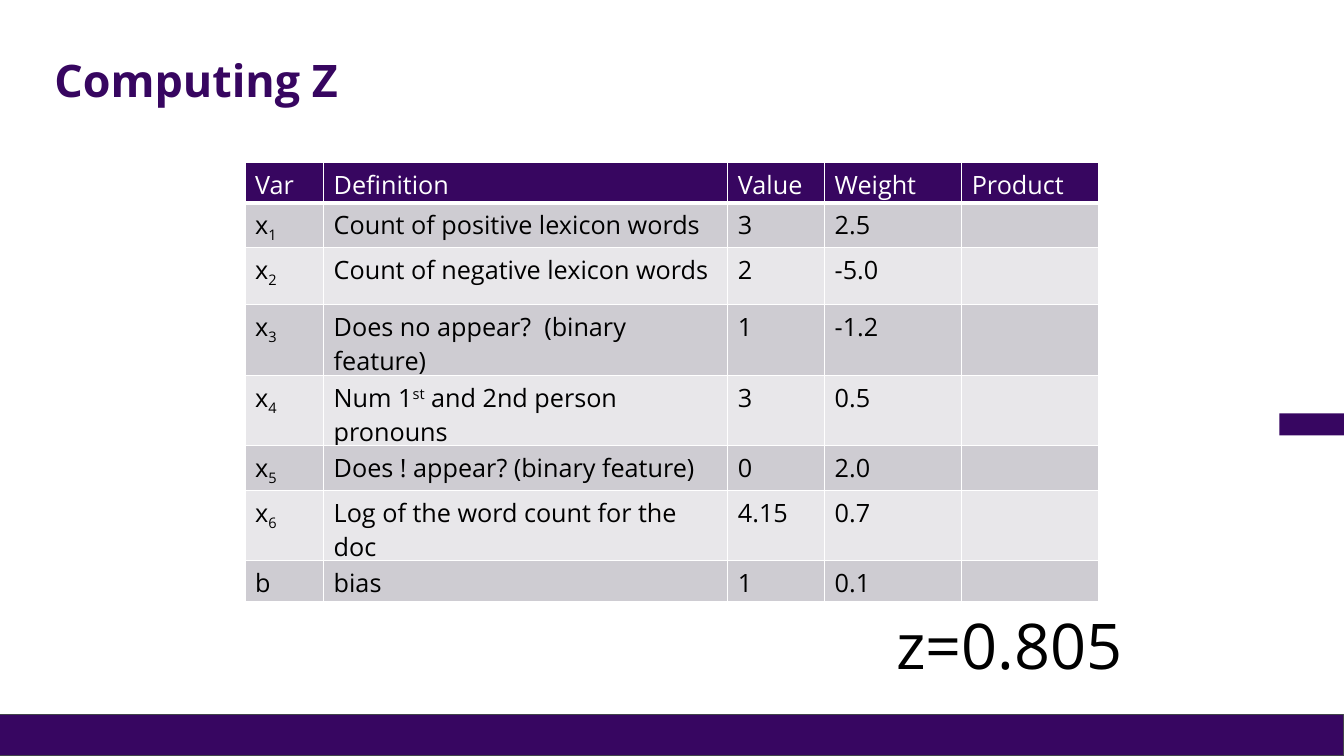
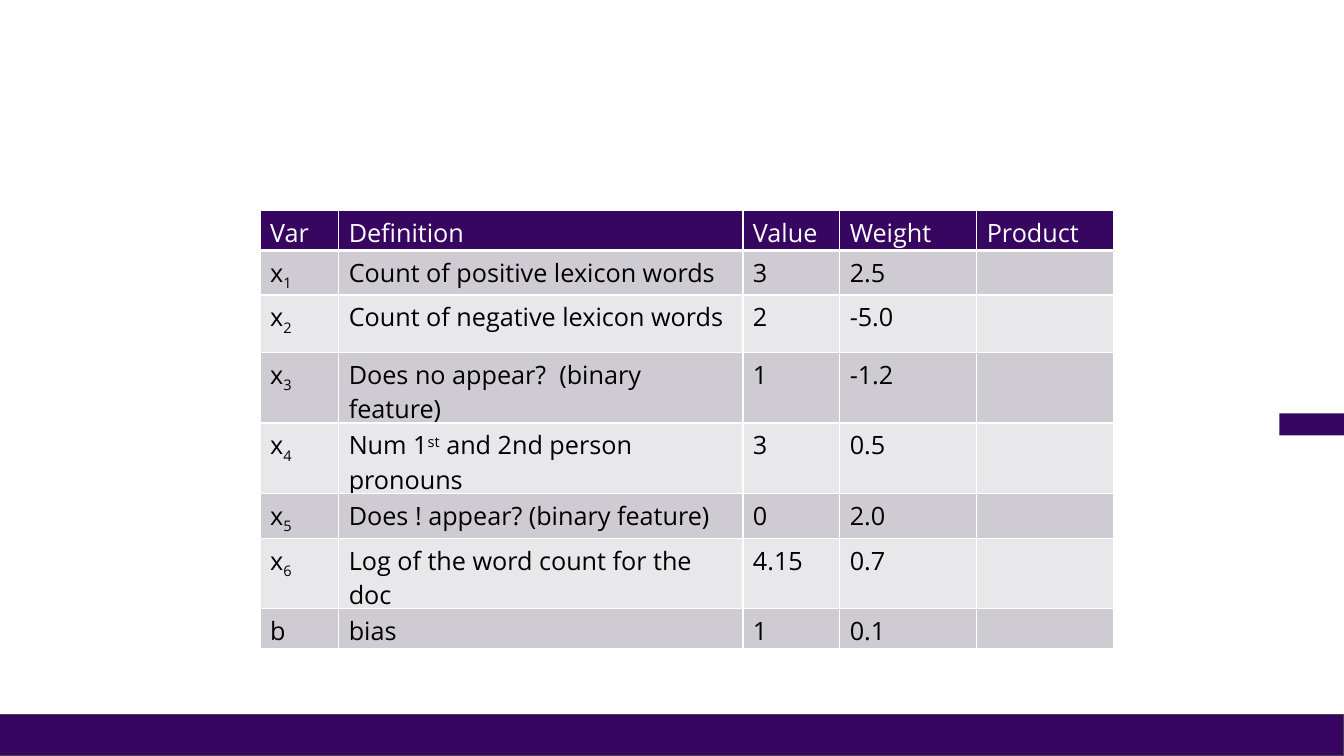
from dataclasses import dataclass
from typing import NamedTuple

import lxml.etree
import pptx
import pptx.dml.color
import pptx.enum.shapes
import pptx.enum.text
import pptx.oxml.ns
import pptx.presentation
import pptx.slide
import pptx.text.text
import pptx.util

# Grid: the slide is 100 columns wide and 100 rows high
SLIDE_WIDTH = pptx.util.Inches(13.333)
SLIDE_HEIGHT = pptx.util.Inches(7.5)

# Shared style
FONT = "Open Sans"
PURPLE = pptx.dml.color.RGBColor(0x37, 0x06, 0x60)
BAND_PURPLE = pptx.dml.color.RGBColor(0x37, 0x06, 0x61)
BAND_EDGE = pptx.dml.color.RGBColor(0x43, 0x45, 0x4B)
ROW_DARK = pptx.dml.color.RGBColor(0xCE, 0xCC, 0xD2)
ROW_LIGHT = pptx.dml.color.RGBColor(0xE8, 0xE7, 0xEA)
WHITE = pptx.dml.color.RGBColor(0xFF, 0xFF, 0xFF)
BLACK = pptx.dml.color.RGBColor(0x00, 0x00, 0x00)
SUBSCRIPT = -25
SUPERSCRIPT = 30


class Piece(NamedTuple):
    """Text with its baseline shift in percent."""
    text: str
    shift: int = 0


class Feature(NamedTuple):
    variable: tuple[Piece, ...]
    definition: tuple[Piece, ...]
    value: str
    weight: str


@dataclass(frozen=True)
class Area:
    """Place on the slide, in grid columns and rows."""
    left: float
    top: float
    width: float
    height: float

    def lengths(self) -> tuple[int, int, int, int]:
        return across(self.left), down(self.top), across(self.width), down(self.height)


def across(columns: float) -> int:
    return round(SLIDE_WIDTH * columns / 100)


def down(rows: float) -> int:
    return round(SLIDE_HEIGHT * rows / 100)


def numbered(index: int) -> tuple[Piece, ...]:
    return Piece("x"), Piece(str(index), SUBSCRIPT)


# Content
HEADINGS = ("Var", "Definition", "Value", "Weight", "Product")
FEATURES = (
    Feature(numbered(1), (Piece("Count of positive lexicon words"),), "3", "2.5"),
    Feature(numbered(2), (Piece("Count of negative lexicon words"),), "2", "-5.0"),
    Feature(numbered(3), (Piece("Does no appear?  (binary feature)"),), "1", "-1.2"),
    Feature(numbered(4), (Piece("Num 1"), Piece("st", SUPERSCRIPT),
                          Piece(" and 2nd person pronouns")), "3", "0.5"),
    Feature(numbered(5), (Piece("Does ! appear? (binary feature)"),), "0", "2.0"),
    Feature(numbered(6), (Piece("Log of the word count for the doc"),), "4.15", "0.7"),
    Feature((Piece("b"),), (Piece("bias"),), "1", "0.1"),
)

# Layout
FOOTER = Area(0, 94.53, 100, 5.47)
SIDE_TAB = Area(95.2, 54.67, 4.8, 2.93)
TITLE = Area(3.3, 5.33, 89.87, 11.2)
RESULT = Area(65.94, 79.6, 18.53, 11.47)
COLUMN_WIDTHS = (5.85, 30.08, 7.2, 10.2, 10.2)
SHORT, TALL = 5.2, 7.6
ROW_HEIGHTS = (SHORT, SHORT, TALL, TALL, TALL, SHORT, TALL, SHORT)
FIRST_TABLE = Area(18.23, 21.47, sum(COLUMN_WIDTHS), 56.93)
SECOND_TABLE = Area(19.35, 27.8, sum(COLUMN_WIDTHS), 51.87)


def add_band(slide: pptx.slide.Slide, area: Area, edged: bool) -> None:
    band = slide.shapes.add_shape(
        pptx.enum.shapes.MSO_SHAPE.RECTANGLE, *area.lengths())
    band.shadow.inherit = False
    band.fill.solid()
    band.fill.fore_color.rgb = BAND_PURPLE
    if edged:
        band.line.color.rgb = BAND_EDGE
        band.line.width = pptx.util.Pt(0.75)
    else:
        band.line.fill.background()


def add_slide(deck: pptx.presentation.Presentation) -> pptx.slide.Slide:
    """Blank slide with the shared footer and side tab."""
    slide = deck.slides.add_slide(deck.slide_layouts[6])
    add_band(slide, FOOTER, edged=True)
    add_band(slide, SIDE_TAB, edged=False)
    return slide


def style_font(font: pptx.text.text.Font, size: float,
               color: pptx.dml.color.RGBColor, bold: bool = False) -> None:
    font.name = FONT
    font.size = pptx.util.Pt(size)
    font.bold = bold
    font.color.rgb = color


def add_label(slide: pptx.slide.Slide, area: Area, text: str, size: float,
              color: pptx.dml.color.RGBColor, heading: bool = False) -> None:
    frame = slide.shapes.add_textbox(*area.lengths()).text_frame
    frame.word_wrap = heading
    frame.text = text
    line = frame.paragraphs[0]
    if heading:
        frame.vertical_anchor = pptx.enum.text.MSO_ANCHOR.MIDDLE
        line.line_spacing = 0.9
    style_font(line.runs[0].font, size, color, bold=heading)


def add_border(cell, side: str, points: float) -> None:
    name = pptx.oxml.ns.qn
    edge = lxml.etree.SubElement(cell._tc.get_or_add_tcPr(), name(f"a:ln{side}"),
                                 w=str(pptx.util.Pt(points)))
    fill = lxml.etree.SubElement(edge, name("a:solidFill"))
    lxml.etree.SubElement(fill, name("a:srgbClr"), val=str(WHITE))


def fill_cell(cell, pieces: tuple[Piece, ...], background: pptx.dml.color.RGBColor,
              color: pptx.dml.color.RGBColor, bottom_border: float) -> None:
    for side, points in (("L", 1), ("R", 1), ("T", 1), ("B", bottom_border)):
        add_border(cell, side, points)
    cell.fill.solid()
    cell.fill.fore_color.rgb = background
    line = cell.text_frame.paragraphs[0]
    for piece in pieces:
        run = line.add_run()
        run.text = piece.text
        style_font(run.font, 18, color)
        if piece.shift:
            run._r.get_or_add_rPr().set("baseline", str(piece.shift * 1000))


def add_feature_table(slide: pptx.slide.Slide, area: Area) -> None:
    holder = slide.shapes.add_table(
        len(ROW_HEIGHTS), len(COLUMN_WIDTHS), *area.lengths())
    table = holder.table
    table.horz_banding = False
    for column, width in zip(table.columns, COLUMN_WIDTHS):
        column.width = across(width)
    for row, height in zip(table.rows, ROW_HEIGHTS):
        row.height = down(height)
    holder.height = down(area.height)

    # Header row
    for column, heading in enumerate(HEADINGS):
        fill_cell(table.cell(0, column), (Piece(heading),), PURPLE, WHITE, 3)

    # Feature rows, with the product left open
    for row, feature in enumerate(FEATURES, start=1):
        background = ROW_DARK if row % 2 else ROW_LIGHT
        contents = (feature.variable, feature.definition,
                    (Piece(feature.value),), (Piece(feature.weight),), ())
        for column, pieces in enumerate(contents):
            fill_cell(table.cell(row, column), pieces, background, BLACK, 1)


def main() -> None:
    deck = pptx.Presentation()
    deck.slide_width = SLIDE_WIDTH
    deck.slide_height = SLIDE_HEIGHT

    # Slide 1: table with the resulting score
    scored = add_slide(deck)
    add_label(scored, TITLE, "Computing Z", 32, PURPLE, heading=True)
    add_label(scored, RESULT, "z=0.805", 45, BLACK)
    add_feature_table(scored, FIRST_TABLE)

    # Slide 2: table alone
    add_feature_table(add_slide(deck), SECOND_TABLE)

    deck.save("out.pptx")


if __name__ == "__main__":
    main()
